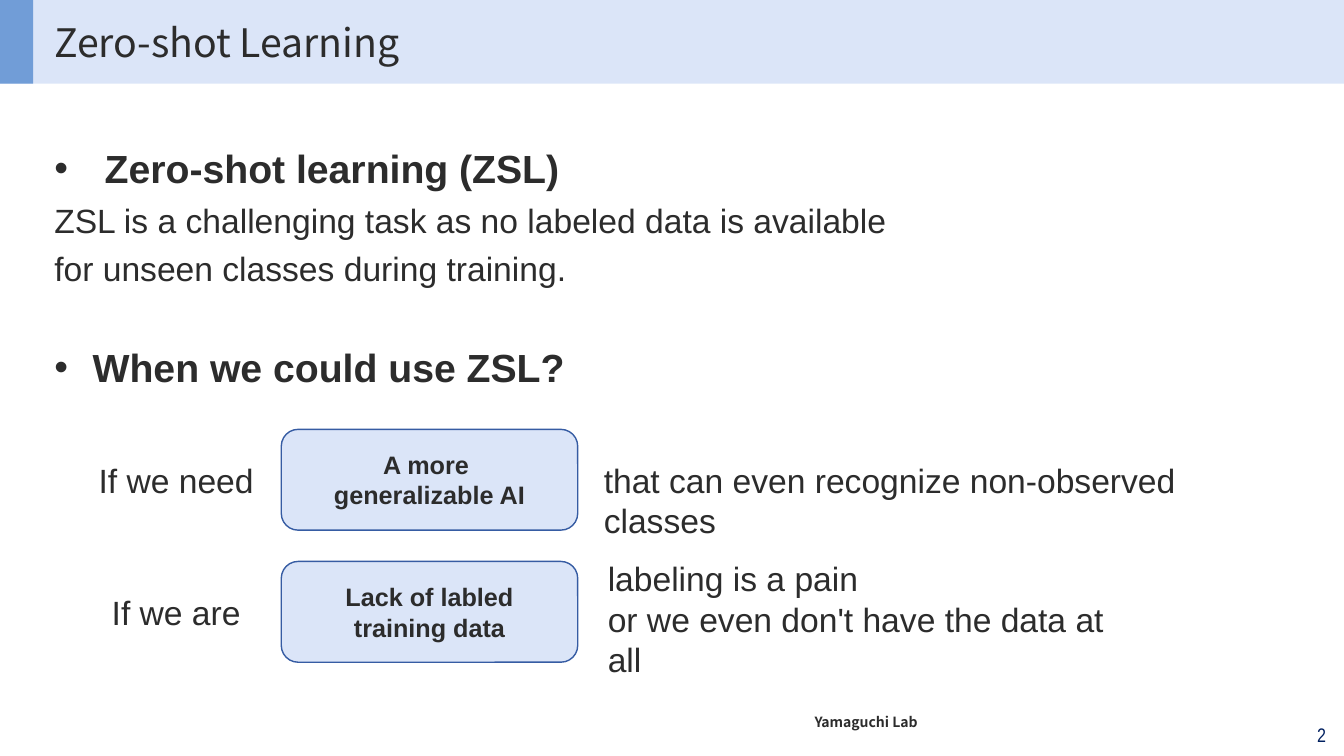
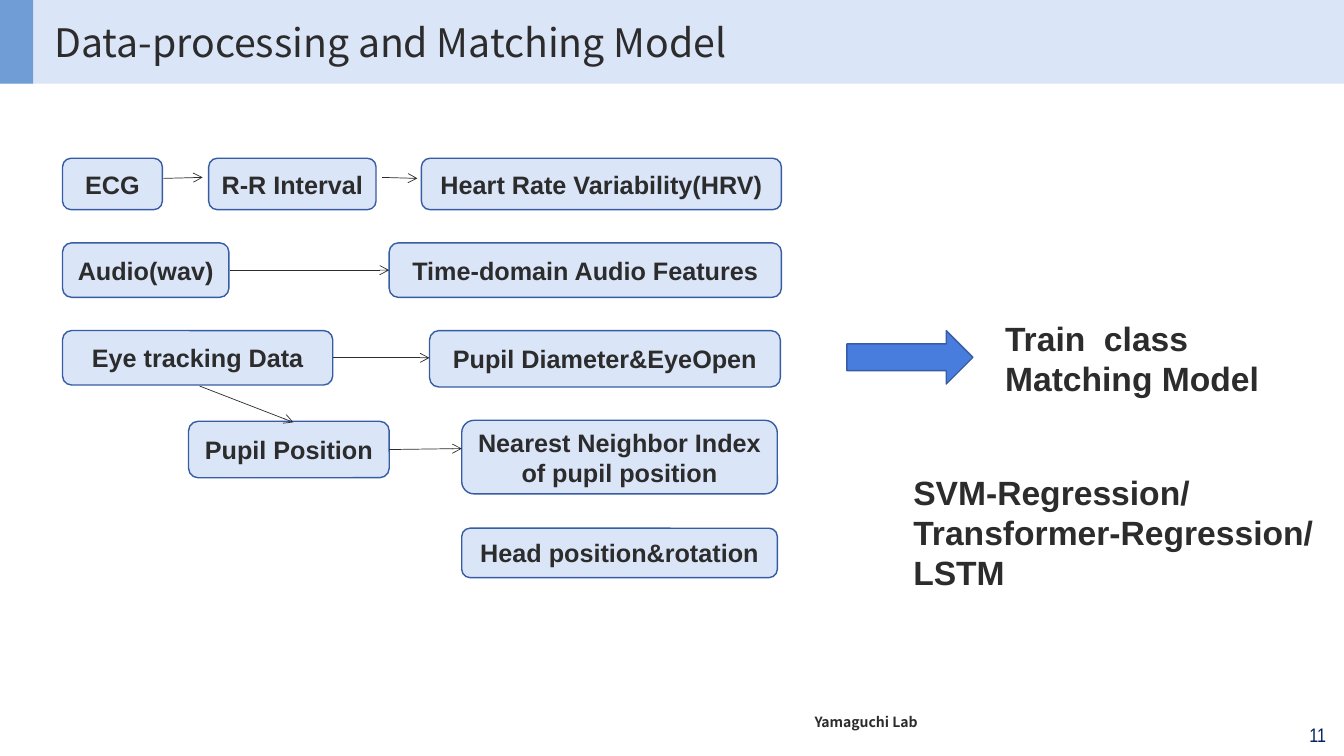
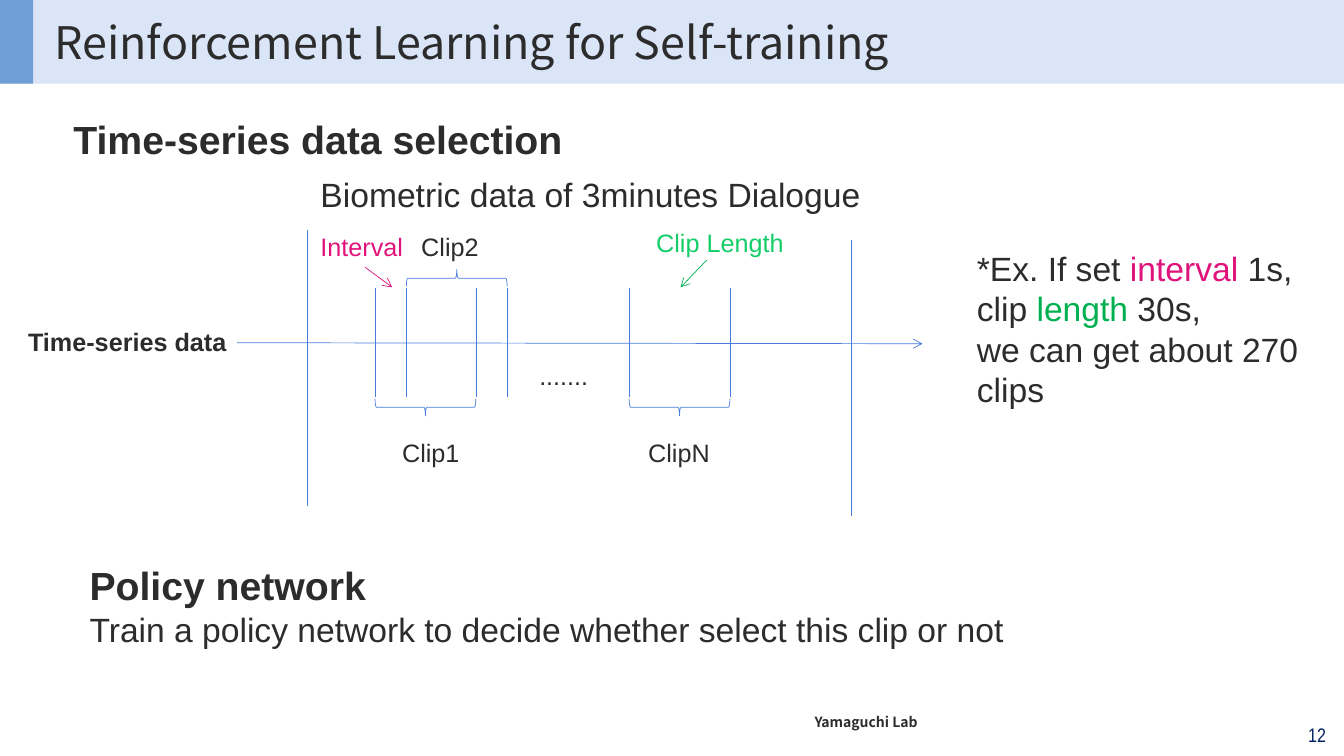
from dataclasses import dataclass

from lxml import etree
from pptx import Presentation
from pptx.dml.color import RGBColor
from pptx.enum.shapes import MSO_CONNECTOR as Connector, MSO_SHAPE as Preset
from pptx.enum.text import MSO_ANCHOR as Anchor, MSO_AUTO_SIZE as AutoSize, PP_ALIGN as Align
from pptx.oxml.ns import qn
from pptx.util import Inches, Pt


# Theme
@dataclass(frozen=True)
class Theme:
    ink: str = "2C2C2C"
    pale: str = "DBE5F8"
    accent: str = "719DD7"
    blue: str = "497DDD"
    outline: str = "365CA3"
    number: str = "002060"
    pink: str = "E0127B"
    green: str = "00B050"
    bright_green: str = "14CD68"
    body_font: str = "Arial"
    title_font: str = "Noto Sans CJK JP"
    footer_font: str = "Noto Sans CJK SC"
    number_font: str = "Arial Narrow"
    large: int = 32
    heading: int = 28
    body: int = 24
    label: int = 18
    page_number: int = 14
    footer: int = 10
    hairline: float = 0.5
    border: float = 1
    band_height: float = 0.83


THEME = Theme()


# Elements
@dataclass(frozen=True)
class Span:
    text: str
    color: str


@dataclass(frozen=True)
class Para:
    spans: tuple[str | Span, ...]
    size: int = THEME.body
    bold: bool = False
    color: str = THEME.ink
    font: str = THEME.body_font
    align: Align = Align.LEFT
    before: float = 0
    bullet_indent: float = 0


@dataclass(frozen=True)
class TextBlock:
    left: float
    top: float
    width: float
    height: float
    paras: tuple[Para, ...]
    wrap: bool = True


@dataclass(frozen=True)
class Node:
    left: float
    top: float
    width: float
    height: float
    lines: tuple[str, ...]


@dataclass(frozen=True)
class Stroke:
    x1: float
    y1: float
    x2: float
    y2: float
    color: str = THEME.blue
    arrow: bool = False


@dataclass(frozen=True)
class Clip:
    name: str
    left: float
    label_left: float
    label_width: float
    above: bool = False


def para(*spans: str | Span, **style) -> Para:
    return Para(spans, **style)


def rgb(color: str) -> RGBColor:
    return RGBColor.from_string(color)


# Drawing
def set_bullet(paragraph, indent: float) -> None:
    props = paragraph._p.get_or_add_pPr()
    props.set("marL", str(Inches(indent)))
    props.set("indent", str(-Inches(indent)))
    etree.SubElement(props, qn("a:buFont")).set("typeface", THEME.body_font)
    etree.SubElement(props, qn("a:buChar")).set("char", "•")


def write(frame, paras: tuple[Para, ...]) -> None:
    for index, item in enumerate(paras):
        paragraph = frame.paragraphs[0] if index == 0 else frame.add_paragraph()
        if item.bullet_indent:
            set_bullet(paragraph, item.bullet_indent)
        paragraph.alignment = item.align
        paragraph.space_before = Pt(item.before)
        font = paragraph.font
        font.name, font.size, font.bold = item.font, Pt(item.size), item.bold
        font.color.rgb = rgb(item.color)
        for piece in item.spans:
            span = paragraph.add_run()
            if isinstance(piece, Span):
                span.text = piece.text
                span.font.color.rgb = rgb(piece.color)
            else:
                span.text = piece


def add_text(page, block: TextBlock):
    box = page.shapes.add_textbox(Inches(block.left), Inches(block.top),
                                  Inches(block.width), Inches(block.height))
    box.text_frame.word_wrap = block.wrap
    write(box.text_frame, block.paras)
    return box


def add_preset(page, preset: Preset, left: float, top: float, width: float, height: float,
               fill: str | None = None, line: str | None = None,
               weight: float = THEME.border):
    shape = page.shapes.add_shape(preset, Inches(left), Inches(top),
                                  Inches(width), Inches(height))
    shape.shadow.inherit = False
    if fill:
        shape.fill.solid()
        shape.fill.fore_color.rgb = rgb(fill)
    else:
        shape.fill.background()
    if line:
        shape.line.color.rgb = rgb(line)
        shape.line.width = Pt(weight)
    else:
        shape.line.fill.background()
    return shape


def add_node(page, node: Node) -> None:
    shape = add_preset(page, Preset.ROUNDED_RECTANGLE, node.left, node.top,
                       node.width, node.height, THEME.pale, THEME.outline)
    shape.text_frame.vertical_anchor = Anchor.MIDDLE
    shape.text_frame.word_wrap = True
    write(shape.text_frame, tuple(
        para(line, size=THEME.label, bold=True, align=Align.CENTER) for line in node.lines))


def add_stroke(page, stroke: Stroke) -> None:
    line = page.shapes.add_connector(Connector.STRAIGHT, Inches(stroke.x1), Inches(stroke.y1),
                                     Inches(stroke.x2), Inches(stroke.y2))
    line.line.color.rgb = rgb(stroke.color)
    line.line.width = Pt(THEME.hairline)
    props = line._element.spPr
    if stroke.arrow:
        etree.SubElement(props.find(qn("a:ln")), qn("a:tailEnd")).set("type", "arrow")
    etree.SubElement(props, qn("a:effectLst"))


def add_clip(page, clip: Clip) -> None:
    span, depth = 1, 0.17
    for x in (clip.left, clip.left + span):
        add_stroke(page, Stroke(x, 2.86, x, 3.94))
    brace = add_preset(page, Preset.LEFT_BRACE, clip.left + (span - depth) / 2,
                       2.26 if clip.above else 3.54, depth, span,
                       line=THEME.blue, weight=THEME.hairline)
    brace.rotation = 90 if clip.above else 270
    add_text(page, TextBlock(clip.label_left, 2.25 if clip.above else 4.29,
                             clip.label_width, 0.4,
                             (para(clip.name, size=THEME.label),), wrap=False))


# Shared frame
def move_frame_to_layout(page) -> None:
    """Draw the bands and footer, then hand them to the layout, behind its title."""
    footer = para("Yamaguchi Lab", size=THEME.footer, bold=True, font=THEME.footer_font)
    pieces = (
        add_preset(page, Preset.RECTANGLE, 0, 0, 13.33, THEME.band_height, THEME.pale),
        add_preset(page, Preset.RECTANGLE, 0, 0, 0.33, THEME.band_height, THEME.accent),
        add_text(page, TextBlock(7.98, 7.03, 4.89, 0.27, (footer,))),
    )
    for position, piece in enumerate(pieces, start=2):
        page.slide_layout.shapes._spTree.insert(position, piece._element)


def add_page(deck, title: str, number: int, title_size: int = THEME.heading):
    page = deck.slides.add_slide(deck.slide_layouts[5])
    head = page.shapes.title
    head.left, head.top = Inches(0.44), Inches(0)
    head.width, head.height = Inches(12.89), Inches(THEME.band_height)
    head.text_frame.vertical_anchor = Anchor.MIDDLE
    head.text_frame.auto_size = AutoSize.NONE
    write(head.text_frame, (para(title, size=title_size, font=THEME.title_font),))
    add_text(page, TextBlock(12.14, 7.12, 1.11, 0.25, (
        para(str(number), size=THEME.page_number, color=THEME.number,
             font=THEME.number_font, align=Align.RIGHT),)))
    return page


# Slides
def build_zero_shot(deck) -> None:
    page = add_page(deck, "Zero-shot Learning", 2)
    move_frame_to_layout(page)
    add_text(page, TextBlock(0.44, 1.38, 12.89, 2.59, (
        para("Zero-shot learning (ZSL)", size=THEME.heading, bold=True, bullet_indent=0.5),
        para("ZSL is a challenging task as no labeled data is available", before=6),
        para("for unseen classes during training.", before=6),
        para("When we could use ZSL?", size=THEME.heading, bold=True,
             before=39, bullet_indent=0.38),
    )))
    for node in (
        Node(2.79, 4.26, 2.94, 1, ("A more ", "generalizable AI")),
        Node(2.79, 5.57, 2.94, 1, ("Lack of labled training data",)),
    ):
        add_node(page, node)
    for block in (
        TextBlock(0.88, 4.51, 1.83, 0.5, (para("If we need"),), wrap=False),
        TextBlock(5.89, 4.51, 7.07, 0.5,
                  (para("that can even recognize non-observed classes"),), wrap=False),
        TextBlock(1.01, 5.82, 1.57, 0.5, (para("If we are"),), wrap=False),
        TextBlock(5.93, 5.49, 5.54, 0.91, (
            para("labeling is a pain"),
            para("or we even don't have the data at all")), wrap=False),
    ):
        add_text(page, block)


def build_matching_model(deck) -> None:
    page = add_page(deck, "Data-processing and Matching Model", 11)
    for node in (
        Node(0.62, 1.57, 0.99, 0.51, ("ECG",)),
        Node(2.07, 1.57, 1.66, 0.51, ("R-R Interval",)),
        Node(4.18, 1.57, 3.57, 0.51, ("Heart Rate Variability(HRV)",)),
        Node(0.62, 2.41, 1.65, 0.54, ("Audio(wav)",)),
        Node(3.86, 2.41, 3.89, 0.54, ("Time-domain Audio Features",)),
        Node(0.62, 3.28, 2.68, 0.54, ("Eye tracking Data",)),
        Node(4.26, 3.28, 3.48, 0.56, ("Pupil Diameter&EyeOpen",)),
        Node(1.87, 4.18, 1.99, 0.56, ("Pupil Position",)),
        Node(4.58, 4.17, 3.13, 0.73, ("Nearest Neighbor Index", "of pupil position")),
        Node(4.58, 5.24, 3.13, 0.49, ("Head position&rotation",)),
    ):
        add_node(page, node)
    for ends in (
        (1.62, 1.77, 2.01, 1.76),
        (3.79, 1.76, 4.14, 1.77),
        (2.28, 2.68, 3.86, 2.68),
        (3.3, 3.55, 4.26, 3.55),
        (1.98, 3.83, 2.91, 4.19),
        (3.86, 4.46, 4.58, 4.45),
    ):
        add_stroke(page, Stroke(*ends, color=THEME.ink, arrow=True))

    # Outcome
    add_preset(page, Preset.RIGHT_ARROW, 8.4, 3.28, 1.25, 0.53, THEME.blue, THEME.outline)
    add_text(page, TextBlock(9.87, 3.1, 2.99, 0.91, (
        para("Train  class", bold=True), para("Matching Model", bold=True))))
    add_text(page, TextBlock(8.96, 4.63, 4.18, 1.31, tuple(
        para(line, bold=True)
        for line in ("SVM-Regression/", "Transformer-Regression/", "LSTM")), wrap=False))


def build_self_training(deck) -> None:
    page = add_page(deck, "Reinforcement Learning for Self-training", 12, THEME.large)

    # Timeline and clips
    for stroke in (
        Stroke(2.35, 3.4, 9.15, 3.41, arrow=True),
        Stroke(3.05, 2.28, 3.05, 5.02),
        Stroke(8.44, 2.38, 8.44, 5.12),
        Stroke(3.62, 2.65, 3.89, 2.85, THEME.pink, arrow=True),
        Stroke(7.01, 2.58, 6.75, 2.85, THEME.green, arrow=True),
    ):
        add_stroke(page, stroke)
    for clip in (
        Clip("Clip1", 3.72, 3.89, 0.77),
        Clip("Clip2", 4.03, 4.08, 0.77, above=True),
        Clip("ClipN", 6.24, 6.33, 0.81),
    ):
        add_clip(page, clip)

    # Headings, labels and example
    for block in (
        TextBlock(0.63, 1.09, 5.2, 0.57, (
            para("Time-series data selection", size=THEME.heading, bold=True),)),
        TextBlock(3.08, 1.68, 5.71, 0.5, (para("Biometric data of 3minutes Dialogue"),)),
        TextBlock(0.18, 3.19, 2.17, 0.4, (
            para("Time-series data", size=THEME.label, bold=True),), wrap=False),
        TextBlock(3.08, 2.25, 1.08, 0.4, (
            para("Interval", size=THEME.label, color=THEME.pink),)),
        TextBlock(6.41, 2.21, 1.63, 0.4, (
            para("Clip Length", size=THEME.label, color=THEME.bright_green),)),
        TextBlock(5.25, 3.53, 0.69, 0.4, (para(".......", size=THEME.label),), wrap=False),
        TextBlock(9.59, 2.41, 3.67, 1.72, (
            para("*Ex. If set ", Span("interval", THEME.pink), " 1s,"),
            para("clip ", Span("length", THEME.green), " 30s,"),
            para("we can get about 270 clips"))),
        TextBlock(0.79, 5.52, 9.37, 0.97, (
            para("Policy network", size=THEME.heading, bold=True),
            para("Train a policy network to decide whether select this clip or not")),
            wrap=False),
    ):
        add_text(page, block)


def main() -> None:
    deck = Presentation()
    deck.slide_width, deck.slide_height = Inches(13.33), Inches(7.5)
    build_zero_shot(deck)
    build_matching_model(deck)
    build_self_training(deck)
    deck.save("out.pptx")


if __name__ == "__main__":
    main()
